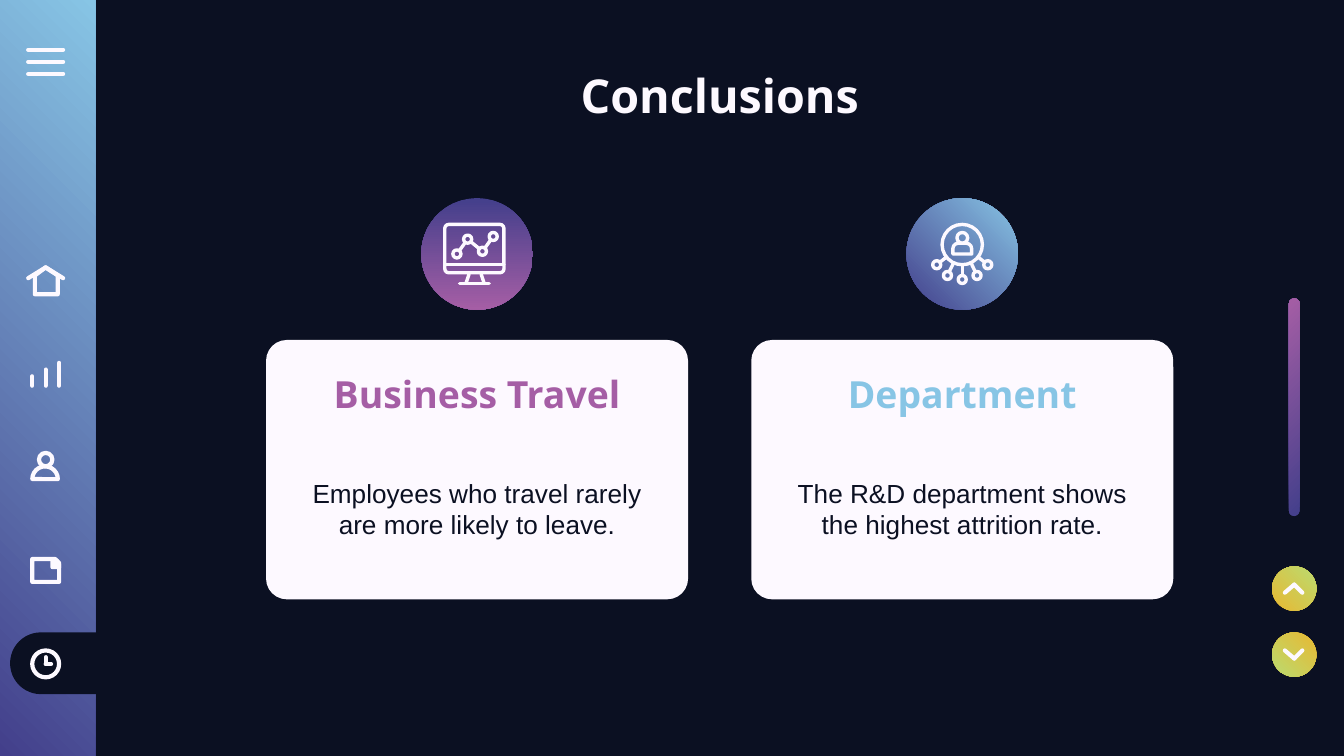
"""Build the Conclusions slide with two cards, a side menu and scroll controls."""
from dataclasses import dataclass
from math import dist

from lxml import etree
from pptx import Presentation
from pptx.dml.color import RGBColor
from pptx.enum.shapes import MSO_CONNECTOR, MSO_SHAPE
from pptx.enum.text import MSO_ANCHOR, MSO_AUTO_SIZE, PP_ALIGN
from pptx.oxml.ns import qn
from pptx.util import Inches, Pt

RECT, ROUND, OVAL = MSO_SHAPE.RECTANGLE, MSO_SHAPE.ROUNDED_RECTANGLE, MSO_SHAPE.OVAL
ROUND_TOP, PIE = MSO_SHAPE.ROUND_2_SAME_RECTANGLE, MSO_SHAPE.PIE
SNIP = MSO_SHAPE.SNIP_1_RECTANGLE
STRAIGHT = MSO_CONNECTOR.STRAIGHT
TOP, MIDDLE, CENTER = MSO_ANCHOR.TOP, MSO_ANCHOR.MIDDLE, PP_ALIGN.CENTER
NO_AUTOFIT = MSO_AUTO_SIZE.NONE

PAGE_WIDTH = 10
PAGE_HEIGHT = PAGE_WIDTH * 9 / 16
NIGHT, WHITE = "0B1022", "FDF9FF"
INDIGO, SKY, PLUM = "433F8B", "87C5E5", "A55EA5"
GOLD, LIME = "E8B832", "BBDB70"
MENU_PEN, ICON_PEN = 2.25, 1.8


@dataclass
class Gradient:
    start: str
    end: str
    angle: float


@dataclass
class Card:
    left: float
    heading: str
    heading_width: float
    body: str
    accent: str
    disc: Gradient


CARD_WIDTH = 3.14
CARDS = [
    Card(1.98, "Business Travel", 2.78, "Employees who travel rarely are more likely to leave.",
         PLUM, Gradient(INDIGO, PLUM, 270)),
    Card(5.59, "Department", 2.02, "The R&D department shows the highest attrition rate.",
         SKY, Gradient(INDIGO, SKY, 45)),
]


def rgb(color: str) -> RGBColor:
    return RGBColor.from_string(color)


def style(shape, fill=None, pen: float = 0) -> None:
    shape.shadow.inherit = False
    if isinstance(fill, Gradient):
        shape.fill.gradient()
        shape.fill.gradient_angle = fill.angle
        for stop, color in zip(shape.fill.gradient_stops, (fill.start, fill.end)):
            stop.color.rgb = rgb(color)
    elif fill:
        shape.fill.solid()
        shape.fill.fore_color.rgb = rgb(fill)
    else:
        shape.fill.background()
    if pen:
        shape.line.color.rgb = rgb(WHITE)
        shape.line.width = Pt(pen)
    else:
        shape.line.fill.background()


def add_shape(page, kind, at: tuple, fill=None, pen: float = 0, turn: float = 0,
              adjust: tuple = ()) -> None:
    shape = page.shapes.add_shape(kind, *map(Inches, at))
    for index, value in enumerate(adjust):
        shape.adjustments[index] = value
    shape.rotation = turn
    style(shape, fill, pen)


def add_circle(page, center: tuple, radius: float, fill=None, pen: float = 0,
               turn: float = 0) -> None:
    x, y = center
    add_shape(page, OVAL, (x - radius, y - radius, 2 * radius, 2 * radius), fill, pen, turn)


def add_stroke(page, start: tuple, end: tuple, pen: float = MENU_PEN) -> None:
    stroke = page.shapes.add_connector(STRAIGHT, *map(Inches, (*start, *end)))
    stroke.line.color.rgb = rgb(WHITE)
    stroke.line.width = Pt(pen)
    stroke.line._get_or_add_ln().set("cap", "rnd")
    etree.SubElement(stroke._element.spPr, qn("a:effectLst"))


def add_outline(page, points: list, fill=None) -> None:
    """Draw a closed outline from points in hundredths of an inch."""
    builder = page.shapes.build_freeform(*points[0], scale=Inches(0.01))
    builder.add_line_segments(points[1:], close=True)
    style(builder.convert_to_shape(), fill, MENU_PEN)


def add_link(page, start: tuple, end: tuple, start_gap: float, end_gap: float) -> None:
    length = dist(start, end)

    def along(distance: float) -> tuple:
        return tuple(a + (b - a) * distance / length for a, b in zip(start, end))

    add_stroke(page, along(start_gap), along(length - end_gap), ICON_PEN)


def fill_placeholder(page, index: int, at: tuple, text: str, size: float, color: str,
                     font: str = "Open Sans", bold: bool = True, anchor=MIDDLE,
                     side: float = 0.1) -> None:
    box = page.placeholders[index]
    box.left, box.top, box.width, box.height = map(Inches, at)
    page.shapes._spTree.append(box._element)
    frame = box.text_frame
    frame.word_wrap = True
    frame.auto_size = NO_AUTOFIT
    frame.vertical_anchor = anchor
    frame.margin_left = frame.margin_right = Inches(side)
    frame.margin_top = frame.margin_bottom = Inches(0.1)
    para = frame.paragraphs[0]
    properties = para._p.get_or_add_pPr()
    properties.set("marL", "0")
    properties.set("indent", "0")
    etree.SubElement(properties, qn("a:buNone"))
    para.alignment = CENTER
    para.space_before = Pt(0)
    span = para.add_run()
    span.text = text
    span.font.name = font
    span.font.size = Pt(size)
    span.font.bold = bold
    span.font.color.rgb = rgb(color)


def add_card(page, card: Card, index: int) -> None:
    center = card.left + CARD_WIDTH / 2
    add_shape(page, ROUND, (card.left, 2.53, CARD_WIDTH, 1.93), WHITE, adjust=(0.08,))
    fill_placeholder(page, index, (center - card.heading_width / 2, 2.58, card.heading_width, 0.69),
                     card.heading, 20, card.accent)
    fill_placeholder(page, index + 1, (card.left, 3.15, CARD_WIDTH, 1.27), card.body, 14, NIGHT,
                     font="Arial", bold=False, side=0.2)
    add_circle(page, (center, 1.89), 0.415, card.disc)


def add_monitor_icon(page) -> None:
    add_shape(page, ROUND, (3.31, 1.67, 0.44, 0.36), pen=ICON_PEN, adjust=(0.08,))
    for start, end in [((3.32, 1.97), (3.75, 1.97)), ((3.49, 2.04), (3.47, 2.1)),
                       ((3.58, 2.04), (3.6, 2.1)), ((3.42, 2.11), (3.64, 2.11))]:
        add_stroke(page, start, end, ICON_PEN)
    nodes = [(3.4, 1.89), (3.48, 1.78), (3.59, 1.87), (3.67, 1.76)]
    for node in nodes:
        add_circle(page, node, 0.03, pen=ICON_PEN)
    for start, end in zip(nodes, nodes[1:]):
        add_link(page, start, end, 0.03, 0.03)


def add_network_icon(page) -> None:
    hub = (7.16, 1.82)
    add_circle(page, hub, 0.15, pen=ICON_PEN)
    for node in [(6.97, 1.97), (7.05, 2.05), (7.16, 2.08), (7.27, 2.05), (7.35, 1.97)]:
        add_circle(page, node, 0.03, pen=ICON_PEN)
        add_link(page, hub, node, 0.15, 0.03)
    add_circle(page, (7.16, 1.77), 0.04, pen=ICON_PEN)
    add_shape(page, ROUND_TOP, (7.09, 1.81, 0.14, 0.08), pen=ICON_PEN, adjust=(0.5, 0))


def add_menu(page) -> None:
    add_shape(page, RECT, (0, 0, 0.71, PAGE_HEIGHT), Gradient(INDIGO, SKY, 45))
    for y in (0.37, 0.46, 0.55):
        add_stroke(page, (0.21, y), (0.47, y))
    for x in (0.21, 0.47):
        add_stroke(page, (x, 2.07), (0.34, 1.99))
    add_outline(page, [(26, 205), (26, 219), (43, 219), (43, 205), (34, 199)])
    for x, top in ((0.24, 2.8), (0.34, 2.75), (0.44, 2.7)):
        add_stroke(page, (x, top), (x, 2.87))
    add_circle(page, (0.34, 3.42), 0.05, pen=MENU_PEN)
    add_shape(page, PIE, (0.24, 3.47, 0.19, 0.19), pen=MENU_PEN, turn=90, adjust=(54.33, 162))
    add_shape(page, SNIP, (0.24, 4.16, 0.2, 0.17), pen=MENU_PEN, adjust=(0.17,))
    add_outline(page, [(39, 417), (42, 417), (44, 420), (44, 422), (39, 422)], WHITE)
    add_shape(page, ROUND_TOP, (0.21, 4.57, 0.46, 0.73), NIGHT, turn=270, adjust=(0.5, 0))
    add_circle(page, (0.34, 4.94), 0.1, pen=MENU_PEN)
    for end in ((0.34, 4.89), (0.38, 4.94)):
        add_stroke(page, (0.34, 4.94), end)


def add_scroller(page) -> None:
    add_shape(page, ROUND, (8.82, 2.99, 1.62, 0.08), Gradient(INDIGO, PLUM, 225), turn=90,
              adjust=(0.5,))
    for y, tip, wing, turn in ((4.38, 4.35, 4.41, 0), (4.87, 4.9, 4.84, 180)):
        add_circle(page, (9.63, y), 0.165, Gradient(GOLD, LIME, 45), turn=turn)
        for x in (9.56, 9.69):
            add_stroke(page, (9.63, tip), (x, wing))


def main() -> None:
    deck = Presentation()
    deck.slide_width, deck.slide_height = Inches(PAGE_WIDTH), Inches(PAGE_HEIGHT)
    page = deck.slides.add_slide(deck.slide_layouts.get_by_name("Comparison"))
    page.background.fill.solid()
    page.background.fill.fore_color.rgb = rgb(NIGHT)
    add_menu(page)
    add_scroller(page)
    fill_placeholder(page, 0, (0.71, 0.4, 9.29, 0.63), "Conclusions", 25, WHITE, anchor=TOP)
    for number, card in enumerate(CARDS):
        add_card(page, card, 2 * number + 1)
    add_monitor_icon(page)
    add_network_icon(page)
    deck.save("out.pptx")


if __name__ == "__main__":
    main()
